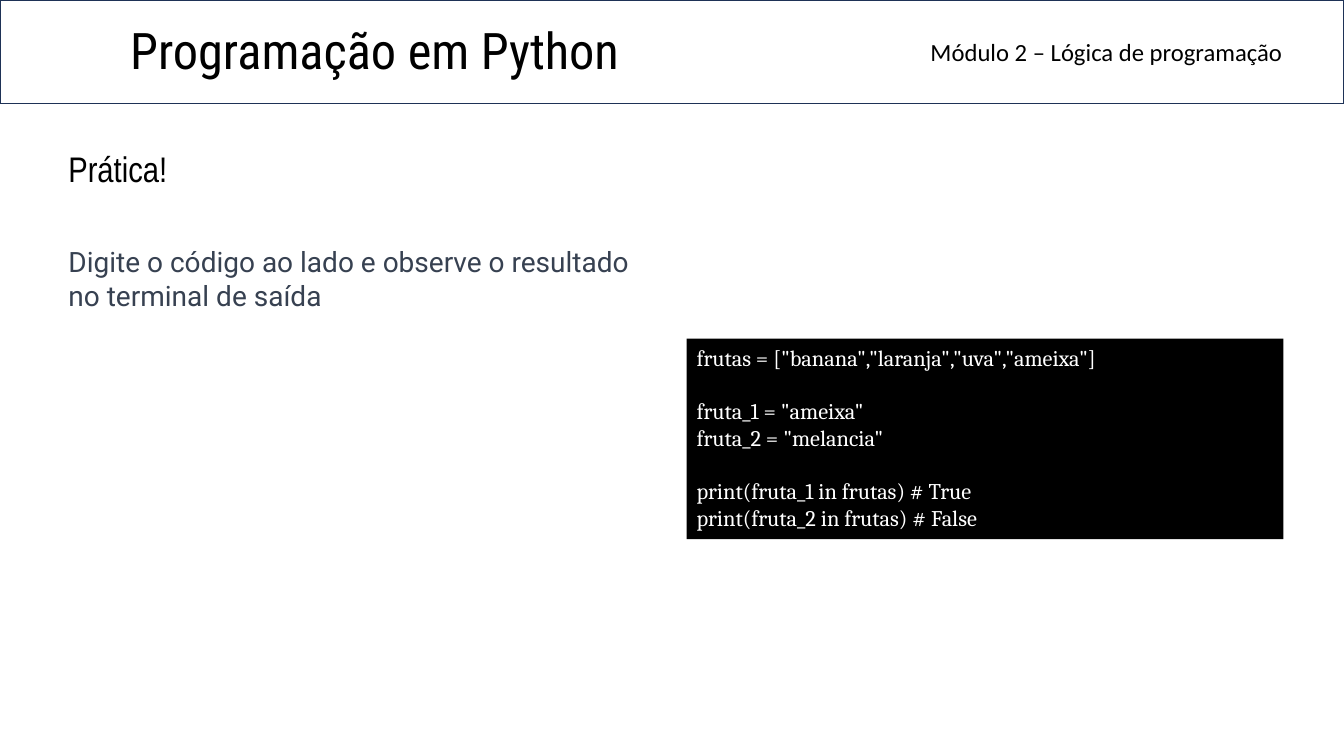
import pptx
import pptx.dml.color
import pptx.enum.shapes
import pptx.enum.text
import pptx.util

PX = 9144  # EMU per px, 100 px to the inch
SLIDE_WIDTH, SLIDE_HEIGHT = 1333, 750
BLACK, WHITE, NAVY, SLATE = "000000", "FFFFFF", "1E3256", "374151"
ANCHOR = pptx.enum.text.MSO_ANCHOR
CODE_BLOCKS = [
    ['frutas = ["banana","laranja","uva","ameixa"]'],
    ['fruta_1 = "ameixa"', 'fruta_2 = "melancia"'],
    ["print(fruta_1 in frutas) # True", "print(fruta_2 in frutas) # False"],
]


def px(*lengths):
    return [pptx.util.Emu(length * PX) for length in lengths]


def color(hex_code):
    return pptx.dml.color.RGBColor.from_string(hex_code)


def write(holder, text, font, size, ink, anchor=ANCHOR.TOP):
    """Fill a shape with left-aligned text in one style."""
    frame = holder.text_frame
    frame.text = text
    frame.word_wrap = True
    frame.auto_size = pptx.enum.text.MSO_AUTO_SIZE.NONE
    frame.vertical_anchor = anchor
    for paragraph in frame.paragraphs:
        paragraph.alignment = pptx.enum.text.PP_ALIGN.LEFT
        for run in paragraph.runs:
            run.font.name = font
            run.font.size = pptx.util.Pt(size)
            run.font.color.rgb = color(ink)
    return frame


def add_panel(slide, box, fill, border=None):
    panel = slide.shapes.add_shape(
        pptx.enum.shapes.MSO_SHAPE.RECTANGLE, *px(*box))
    panel.shadow.inherit = False
    panel.fill.solid()
    panel.fill.fore_color.rgb = color(fill)
    if border:
        panel.line.color.rgb = color(border)
        panel.line.width = pptx.util.Pt(1)
    else:
        panel.line.fill.background()
    return panel


def add_header(slide, box):
    left, top, width, height = box
    band = add_panel(slide, box, WHITE, NAVY)
    # The band lies behind the title
    slide.shapes.title._element.addprevious(band._element)

    course = slide.shapes.title
    course.left, course.top, course.width, course.height = px(
        left + 119, top + 17, width - 237, height - 36)
    write(course, "Programação em Python", "Roboto Condensed", 36, BLACK,
          ANCHOR.BOTTOM)

    module = slide.shapes.add_textbox(
        *px(left + 913, top, 405, height - 32))
    write(module, "Módulo 2 – Lógica de programação", "Calibri", 17.6, BLACK,
          ANCHOR.BOTTOM)


def add_exercise(slide, box):
    left, top, width, height = box
    heading = slide.shapes.add_textbox(*px(left, top, 841, 59))
    frame = write(heading, "Prática!", "Arial Narrow", 25.4, BLACK)
    frame.margin_top = frame.margin_bottom = px(10)[0]
    frame.paragraphs[0].line_spacing = 0.9

    instruction = slide.shapes.add_textbox(
        *px(left, top + 97, width, height - 97))
    write(instruction,
          "Digite o código ao lado e observe o resultado no terminal de saída",
          "Roboto", 20, SLATE)


def add_code(slide, box):
    panel = add_panel(slide, box, BLACK)
    lines = [line for block in CODE_BLOCKS for line in block]
    frame = write(panel, "\n".join(lines), "Cambria", 16, WHITE)
    # One line of space opens each later block
    block_start = 0
    for block in CODE_BLOCKS[:-1]:
        block_start += len(block)
        frame.paragraphs[block_start].space_before = pptx.util.Pt(19)


def main():
    deck = pptx.Presentation()
    deck.slide_width, deck.slide_height = px(SLIDE_WIDTH, SLIDE_HEIGHT)
    slide = deck.slides.add_slide(deck.slide_layouts.get_by_name("Title Only"))
    add_header(slide, (0, 0, SLIDE_WIDTH, 103))
    add_exercise(slide, (58, 141, 592, 174))
    add_code(slide, (681, 336, 592, 199))
    deck.save("out.pptx")


if __name__ == "__main__":
    main()
